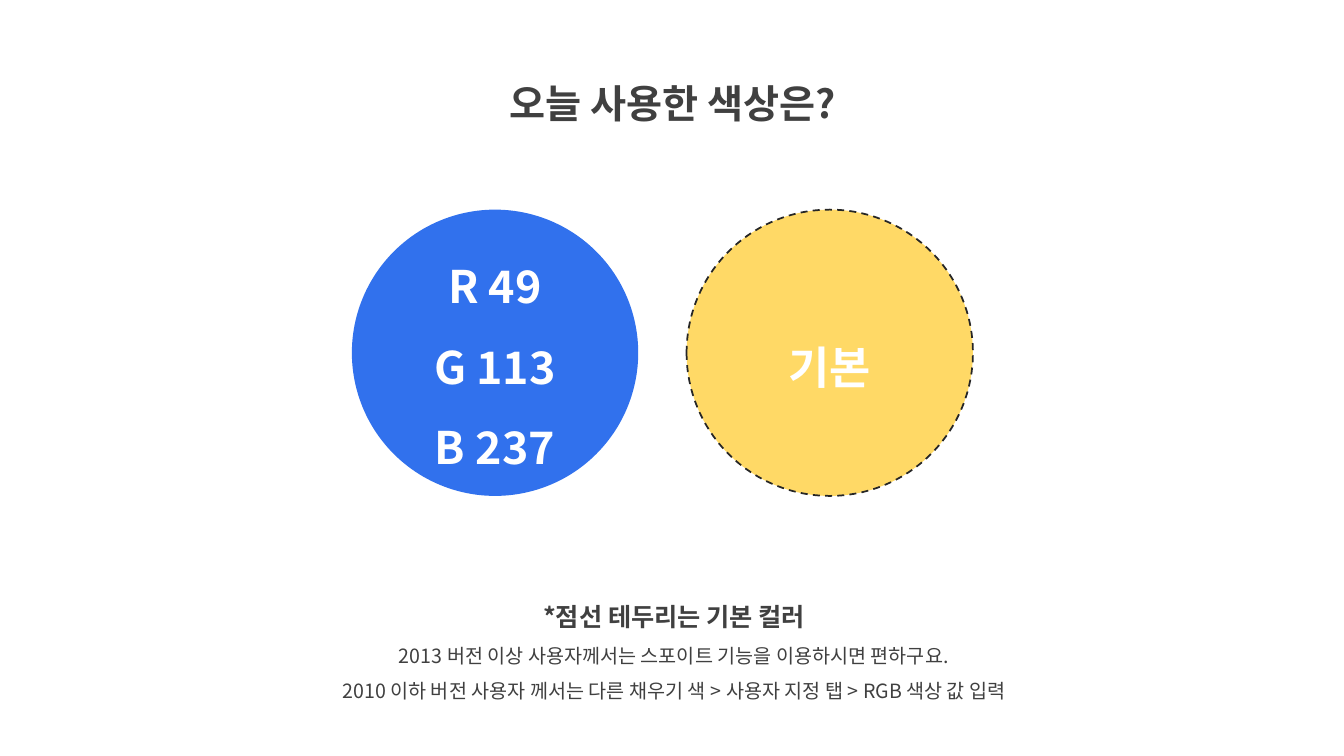
from lxml import etree
from pptx import Presentation
from pptx.dml.color import RGBColor
from pptx.enum.dml import MSO_LINE
from pptx.enum.shapes import MSO_SHAPE
from pptx.enum.text import MSO_ANCHOR, MSO_AUTO_SIZE, PP_ALIGN
from pptx.oxml.ns import qn
from pptx.util import Emu, Pt

DASH = MSO_LINE.DASH
OVAL = MSO_SHAPE.OVAL
MIDDLE = MSO_ANCHOR.MIDDLE
GROW = MSO_AUTO_SIZE.SHAPE_TO_FIT_TEXT
CENTER = PP_ALIGN.CENTER

PX = 9144
FONT = "Noto Sans CJK KR"
COLORS = {"text": "404040", "white": "FFFFFF", "blue": "3171ED",
          "yellow": "FFD966", "outline": "262626"}
FORMATS = {
    "title": {"size": Pt(28), "bold": True},
    "note": {"size": Pt(18), "bold": True},
    "hint": {"size": Pt(14), "bold": False},
    "swatch": {"size": Pt(32), "bold": True},
}


class ColorPage:
    """Draws text boxes and color swatches on one slide in a shared style."""

    def __init__(self, page):
        self.page = page

    def color(self, name):
        return RGBColor.from_string(COLORS[name])

    def fill_text(self, frame, lines, color):
        frame.word_wrap = True
        for index, (text, style) in enumerate(lines):
            para = frame.paragraphs[0] if index == 0 else frame.add_paragraph()
            para.alignment = CENTER
            para.line_spacing = 1.5
            span = para.add_run()
            span.text = text
            for name, value in FORMATS[style].items():
                setattr(span.font, name, value)
            span.font.name = FONT
            span.font.color.rgb = self.color(color)
            east_asian = etree.SubElement(span.font._element, qn("a:ea"))
            east_asian.set("typeface", FONT)

    def text(self, left, top, width, height, lines):
        edges = [Emu(value * PX) for value in (left, top, width, height)]
        box = self.page.shapes.add_textbox(*edges)
        self.fill_text(box.text_frame, lines, "text")
        box.text_frame.auto_size = GROW

    def swatch(self, left, top, size, fill, lines, dashed=False):
        edges = [Emu(value * PX) for value in (left, top, size, size)]
        circle = self.page.shapes.add_shape(OVAL, *edges)
        circle.shadow.inherit = False
        circle.fill.solid()
        circle.fill.fore_color.rgb = self.color(fill)
        if dashed:
            circle.line.color.rgb = self.color("outline")
            circle.line.width = Pt(1.25)
            circle.line.dash_style = DASH
        else:
            circle.line.fill.background()
        circle.text_frame.vertical_anchor = MIDDLE
        self.fill_text(circle.text_frame, [(line, "swatch") for line in lines], "white")


def main():
    deck = Presentation()
    deck.slide_width = Emu(1333 * PX)
    deck.slide_height = Emu(750 * PX)
    page = ColorPage(deck.slides.add_slide(deck.slide_layouts[6]))

    page.text(436, 50, 463, 72, [("오늘 사용한 색상은?", "title")])
    page.text(269, 577, 799, 126, [
        ("*점선 테두리는 기본 컬러", "note"),
        ("2013 버전 이상 사용자께서는 스포이트 기능을 이용하시면 편하구요.", "hint"),
        ("2010 이하 버전 사용자 께서는 다른 채우기 색 > 사용자 지정 탭 > RGB 색상 값 입력", "hint"),
    ])
    page.swatch(349, 208, 284, "blue", ["R 49", "G 113", "B 237"])
    page.swatch(681, 208, 284, "yellow", ["기본"], dashed=True)

    deck.save("out.pptx")


if __name__ == "__main__":
    main()
